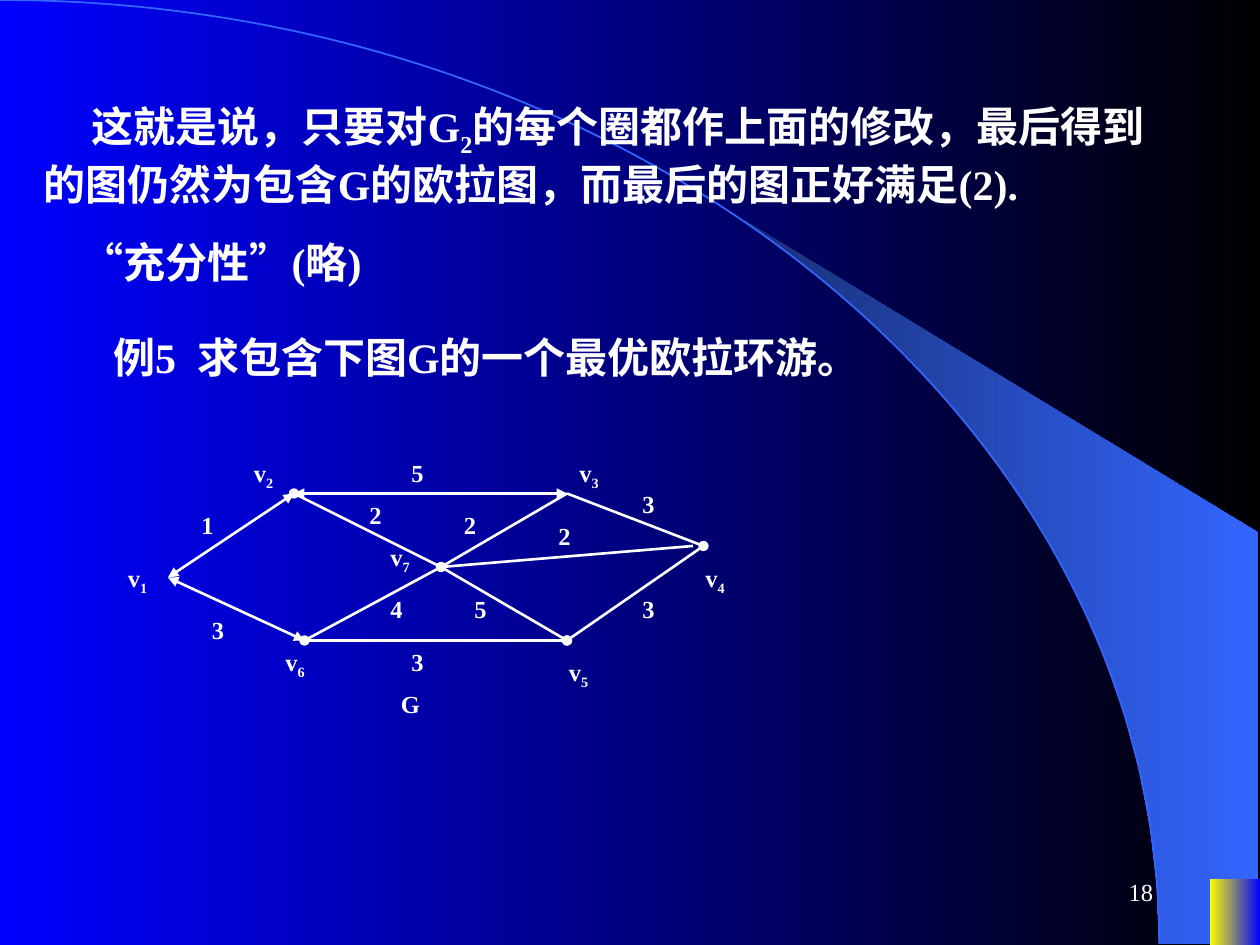
from dataclasses import dataclass
from math import asin, cos, pi, sin

from lxml import etree
from pptx import Presentation
from pptx.dml.color import RGBColor
from pptx.enum.shapes import MSO_CONNECTOR, MSO_SHAPE
from pptx.enum.text import MSO_ANCHOR, MSO_AUTO_SIZE, PP_ALIGN
from pptx.oxml.ns import qn
from pptx.util import Inches, Pt

STRAIGHT = MSO_CONNECTOR.STRAIGHT
RECTANGLE = MSO_SHAPE.RECTANGLE
MIDDLE = MSO_ANCHOR.MIDDLE
GROW = MSO_AUTO_SIZE.SHAPE_TO_FIT_TEXT
LEFT, RIGHT = PP_ALIGN.LEFT, PP_ALIGN.RIGHT
SUBSCRIPT = {"baseline": "-25000"}
WIDE_SPACE = {"spc": "600"}


@dataclass(frozen=True)
class Theme:
    font: str = "Times New Roman"
    text: str = "FFFFFF"
    blue: str = "0000FF"
    black: str = "000000"
    navy: str = "182F76"
    arc: str = "3366FF"
    yellow: str = "FFFF00"
    body_size: float = 24
    label_size: float = 14
    edge_width: float = 1.5
    arc_width: float = 1


class SlideBuilder:
    def __init__(self, slide, theme):
        self.slide = slide
        self.theme = theme
        self.shapes = slide.shapes

    def gradient(self, fill, first, last):
        fill.gradient()
        fill.gradient_angle = 0
        for stop, color in zip(fill.gradient_stops, (first, last)):
            stop.color.rgb = RGBColor.from_string(color)

    def background(self, first, last):
        self.gradient(self.slide.background.fill, first, last)

    def start_group(self):
        self.shapes = self.slide.shapes.add_group_shape().shapes

    def rectangle(self, box, first, last):
        sp = self.shapes.add_shape(RECTANGLE, *map(Inches, box))
        sp.shadow.inherit = False
        self.gradient(sp.fill, first, last)
        sp.line.fill.background()

    def freeform(self, points, close):
        points = [(Inches(x), Inches(y)) for x, y in points]
        builder = self.shapes.build_freeform(*points[0])
        builder.add_line_segments(points[1:], close=close)
        sp = builder.convert_to_shape()
        sp.shadow.inherit = False
        return sp

    def wedge(self, points):
        sp = self.freeform(points, True)
        self.gradient(sp.fill, self.theme.navy, self.theme.arc)
        sp.line.fill.background()

    def quarter_arc(self, width, height):
        sp = self.freeform([(0, 0), (width, height)], False)
        segment = sp._element.find(".//" + qn("a:lnTo"))
        segment.tag = qn("a:cubicBezTo")
        controls = [(width * 0.55, 0), (width, height * 0.45)]
        for i, (x, y) in enumerate(controls):
            pt = etree.Element(qn("a:pt"), x=str(Inches(x)), y=str(Inches(y)))
            segment.insert(i, pt)
        sp.fill.background()
        sp.line.color.rgb = RGBColor.from_string(self.theme.arc)
        sp.line.width = Pt(self.theme.arc_width)

    def edge(self, start, end, marker):
        line = self.shapes.add_connector(STRAIGHT, *map(Inches, start + end))
        line.line.color.rgb = RGBColor.from_string(self.theme.text)
        line.line.width = Pt(self.theme.edge_width)
        if marker:
            ln = line.line._get_or_add_ln()
            for tag in ("a:headEnd", "a:tailEnd"):
                etree.SubElement(ln, qn(tag), type=marker)
        etree.SubElement(line._element.spPr, qn("a:effectLst"))

    def text(self, box, runs, size, bold=True, align=LEFT, indent=0):
        sp = self.shapes.add_textbox(*map(Inches, box))
        tf = sp.text_frame
        tf.word_wrap = True
        p = tf.paragraphs[0]
        p.alignment = align
        if indent:
            p._p.get_or_add_pPr().set("indent", str(Inches(indent)))
        for content, extras in runs:
            r = p.add_run()
            r.text = content
            r.font.name = self.theme.font
            r.font.size = Pt(size)
            r.font.bold = bold
            r.font.color.rgb = RGBColor.from_string(self.theme.text)
            for name, value in extras.items():
                r.font._element.set(name, value)
        return tf

    def body(self, box, runs):
        tf = self.text(box, runs, self.theme.body_size, indent=0.38)
        tf.auto_size = GROW

    def label(self, left, top, content, subscript=""):
        runs = [(content, {})]
        if subscript:
            runs.append((subscript, SUBSCRIPT))
        height = 0.37 if subscript else 0.34
        tf = self.text((left, top, 0.47, height), runs, self.theme.label_size)
        tf.auto_size = GROW

    def page_number(self, box, number):
        tf = self.text(box, [(number, {})], self.theme.label_size, False, RIGHT)
        tf.vertical_anchor = MIDDLE


ARC_WIDTH, ARC_HEIGHT = 9.2, 7.49
WEDGE_LEFT, WEDGE_RIGHT, WEDGE_TOP = 5.89, 9.99, 4.23
WEDGE_STEPS = 14

GRID = 1 / 12
VERTICES = {
    "v1": (16, 55),
    "v2": (28, 47),
    "v3": (54, 47),
    "v4": (67, 52),
    "v4 side": (66, 52),
    "v5": (54, 61),
    "v6": (29, 61),
    "v7": (42, 54),
}
EDGES = [
    ("v2", "v3", "triangle"),
    ("v2", "v1", "triangle"),
    ("v1", "v6", "triangle"),
    ("v6", "v5", "oval"),
    ("v3", "v4", None),
    ("v5", "v4", "oval"),
    ("v2", "v7", "oval"),
    ("v3", "v7", None),
    ("v7", "v6", None),
    ("v7", "v5", None),
    ("v7", "v4 side", None),
]
VERTEX_LABELS = [
    (11, 53), (23, 43), (54, 43), (66, 53), (53, 62), (26, 61), (36, 51),
]
WEIGHT_LABELS = [
    (18, 48, "1"), (19, 58, "3"), (43, 48, "2"), (34, 47, "2"),
    (38, 43, "5"), (52, 49, "2"), (60, 46, "3"), (60, 56, "3"),
    (38, 61, "3"), (44, 56, "5"), (36, 56, "4"), (37, 65, "G"),
]


def on_grid(column, row):
    return column * GRID, row * GRID


def wedge_points():
    start = asin(WEDGE_LEFT / ARC_WIDTH)
    step = (pi / 2 - start) / WEDGE_STEPS
    angles = [start + step * i for i in range(WEDGE_STEPS + 1)]
    inner = [(ARC_WIDTH * sin(a), ARC_HEIGHT * (1 - cos(a))) for a in angles]
    return inner + [(WEDGE_RIGHT, ARC_HEIGHT), (WEDGE_RIGHT, WEDGE_TOP)]


def draw_backdrop(s, theme):
    s.background(theme.blue, theme.black)
    s.wedge(wedge_points())
    s.quarter_arc(ARC_WIDTH, ARC_HEIGHT)
    s.rectangle((9.6, 6.98, 0.4, 0.52), theme.yellow, theme.blue)


def draw_graph(s):
    s.start_group()
    for start, end, marker in EDGES:
        s.edge(on_grid(*VERTICES[start]), on_grid(*VERTICES[end]), marker)
    for number, place in enumerate(VERTEX_LABELS, 1):
        s.label(*on_grid(*place), "v", str(number))
    for column, row, content in WEIGHT_LABELS:
        s.label(*on_grid(column, row), content)


def main():
    prs = Presentation()
    prs.slide_width, prs.slide_height = Inches(10), Inches(7.5)
    theme = Theme()
    s = SlideBuilder(prs.slides.add_slide(prs.slide_layouts[6]), theme)
    draw_backdrop(s, theme)
    s.page_number((7.17, 6.83, 2.08, 0.5), "18")
    s.body((0.25, 0.75, 9.08, 0.96), [
        ("这就是说，只要对G", {}),
        ("2", SUBSCRIPT),
        ("的每个圈都作上面的修改，最后得到的图仍然为包含G的欧拉图，而最后的图正好满足(2).", {}),
    ])
    s.body((0.17, 1.83, 8.75, 0.5), [("“充分性”(略)", {})])
    s.body((0.42, 2.58, 8.75, 0.5), [
        ("例5", {}),
        (" ", WIDE_SPACE),
        ("求包含下图G的一个最优欧拉环游。", {}),
    ])
    draw_graph(s)
    prs.save("out.pptx")


if __name__ == "__main__":
    main()
